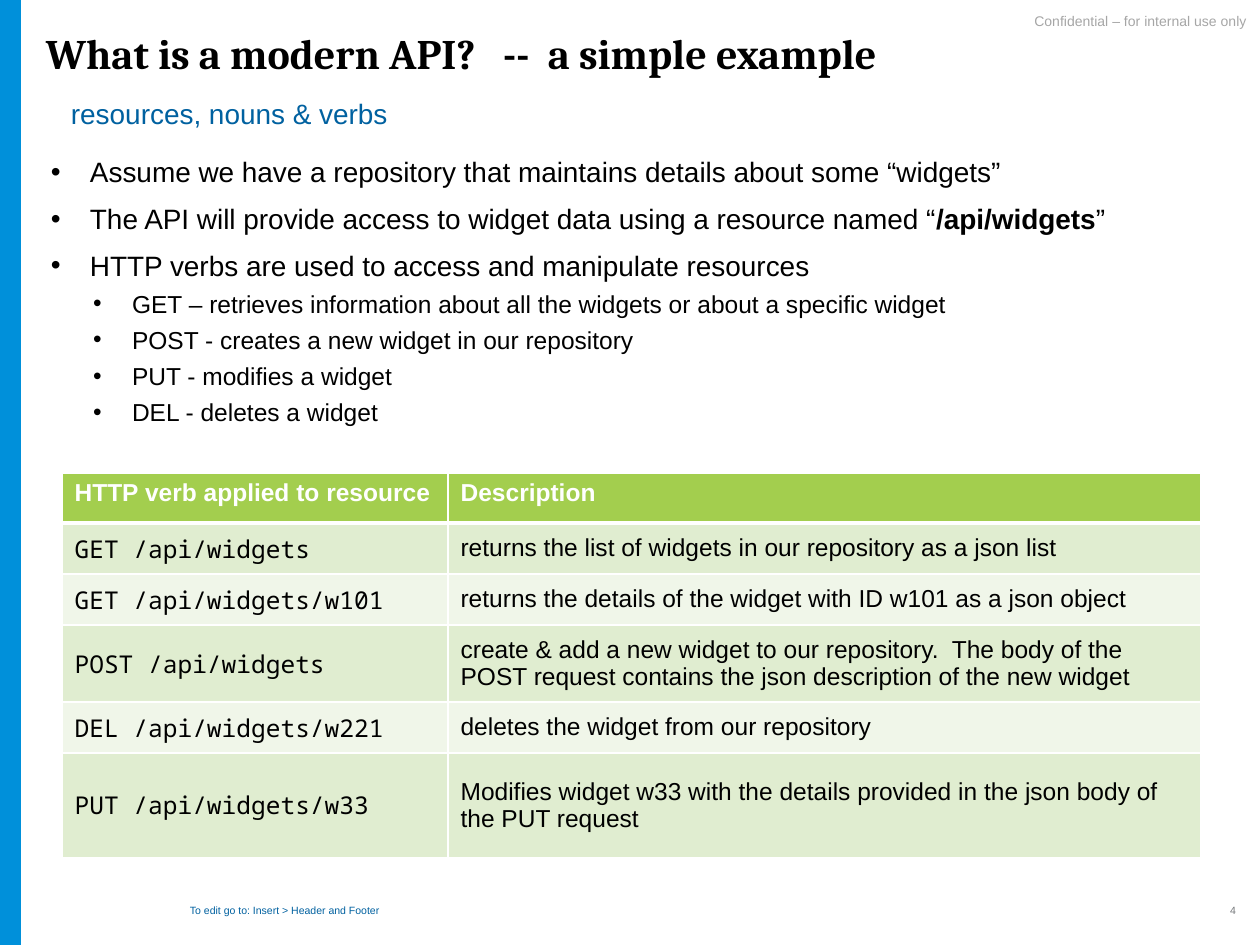
import dataclasses

import lxml.etree
import pptx
import pptx.dml.color
import pptx.enum.shapes
import pptx.enum.text
import pptx.oxml.ns
import pptx.util

ALIGN = pptx.enum.text.PP_ALIGN
ANCHOR = pptx.enum.text.MSO_ANCHOR
PX_PER_INCH = 126


@dataclasses.dataclass(frozen=True)
class Theme:
    sans: str = "Arial"
    serif: str = "Cambria"
    mono: str = "Noto Sans Mono"
    black: str = "000000"
    white: str = "FFFFFF"
    accent: str = "0090DA"
    link: str = "0061A0"
    notice: str = "A6A6A6"
    number: str = "75787B"
    header: str = "A3CE4E"
    bands: tuple = ("E0EDD0", "F0F6E9")
    title_size: int = 24
    body_size: int = 16
    detail_size: int = 14
    notice_size: int = 8
    footer_size: int = 6


THEME = Theme()


def px(n):
    return pptx.util.Emu(round(n * 914400 / PX_PER_INCH))


def rgb(value):
    return pptx.dml.color.RGBColor.from_string(value)


def sub(parent, tag, **attrs):
    el = lxml.etree.SubElement(parent, pptx.oxml.ns.qn(tag))
    for key, value in attrs.items():
        el.set(key, str(value))
    return el


def add_run(p, text, size, color=THEME.black, font=THEME.sans, bold=False):
    r = p.add_run()
    r.text = text
    r.font.size = pptx.util.Pt(size)
    r.font.name = font
    r.font.bold = bold
    r.font.color.rgb = rgb(color)


def add_text_box(s, box, insets=(9, 5), anchor=ANCHOR.TOP):
    tf = s.shapes.add_textbox(*map(px, box)).text_frame
    tf.word_wrap = True
    tf.vertical_anchor = anchor
    tf.margin_left = tf.margin_right = px(insets[0])
    tf.margin_top = tf.margin_bottom = px(insets[1])
    return tf


def set_bullet(p, margin, hanging):
    pPr = p._p.get_or_add_pPr()
    pPr.set("marL", str(px(margin)))
    pPr.set("indent", str(-px(hanging)))
    sub(pPr, "a:buFont", typeface=THEME.sans)
    sub(pPr, "a:buChar", char="•")


def add_frame(s, box):
    x, y, w, h = box
    sp = s.shapes.add_shape(
        pptx.enum.shapes.MSO_SHAPE.RECTANGLE, px(x), px(y), px(21), px(h))
    sp.shadow.inherit = False
    sp.fill.solid()
    sp.fill.fore_color.rgb = rgb(THEME.accent)
    sp.line.fill.background()
    p = add_text_box(s, (x + w - 386, y + 14, 386, 29), (13, 0)).paragraphs[0]
    p.alignment = ALIGN.RIGHT
    p.line_spacing = 0.9
    add_run(p, "Confidential – for internal use only",
            THEME.notice_size, THEME.notice)


def add_heading(s, box, title, subtitle):
    x, y, w, h = box
    p = add_text_box(s, (x, y, w, 62)).paragraphs[0]
    p.line_spacing = 0.9
    add_run(p, title, THEME.title_size, font=THEME.serif, bold=True)
    tf = add_text_box(s, (x + 21, y + h - 43, 958, 43), (13, 0), ANCHOR.BOTTOM)
    p = tf.paragraphs[0]
    p.line_spacing = 1.4
    p.space_before = pptx.util.Pt(7.5)
    add_run(p, subtitle, THEME.body_size, THEME.link)


def add_bullets(s, box, items):
    tf = add_text_box(s, box)
    levels = ((39, 7.5, THEME.body_size), (81, 3.8, THEME.detail_size))
    for i, (level, runs) in enumerate(items):
        margin, before, size = levels[level]
        p = tf.add_paragraph() if i else tf.paragraphs[0]
        p.level = level
        p.space_before = pptx.util.Pt(before)
        set_bullet(p, margin, 39)
        for text, bold in runs:
            add_run(p, text, size, bold=bold)


def style_cell(cell, fill, bottom=1):
    cell.fill.background()
    tcPr = cell._tc.get_or_add_tcPr()
    for el in list(tcPr):
        tcPr.remove(el)
    for side, width in (("L", 1), ("R", 1), ("T", 1), ("B", bottom)):
        ln = sub(tcPr, f"a:ln{side}", w=pptx.util.Pt(width))
        sub(sub(ln, "a:solidFill"), "a:srgbClr", val=THEME.white)
    cell.fill.solid()
    cell.fill.fore_color.rgb = rgb(fill)


def add_verb_table(s, box, columns, heights, rows):
    table = s.shapes.add_table(len(rows), len(columns), *map(px, box)).table
    for column, width in zip(table.columns, columns):
        column.width = px(width)
    for i, (row, height) in enumerate(zip(rows, heights)):
        table.rows[i].height = px(height)
        for j, text in enumerate(row):
            cell = table.cell(i, j)
            p = cell.text_frame.paragraphs[0]
            if i == 0:
                style_cell(cell, THEME.header, bottom=3)
                add_run(p, text, THEME.detail_size, THEME.white, bold=True)
            else:
                style_cell(cell, THEME.bands[(i - 1) % 2],
                           bottom=1)
                cell.vertical_anchor = ANCHOR.MIDDLE
                add_run(p, text, THEME.detail_size,
                        font=THEME.sans if j else THEME.mono)
            if i == 1:
                cell._tc.tcPr.find(pptx.oxml.ns.qn("a:lnT")).set(
                    "w", str(pptx.util.Pt(3)))


def add_footer(s, box, note, number):
    x, y, w, h = box
    tf = add_text_box(s, (x, y + 15, 426, 20), anchor=ANCHOR.MIDDLE)
    add_run(tf.paragraphs[0], note, THEME.footer_size, THEME.link)
    tf = add_text_box(s, (x + w - 93, y, 93, h), anchor=ANCHOR.MIDDLE)
    tf.paragraphs[0].alignment = ALIGN.RIGHT
    add_run(tf.paragraphs[0], number, THEME.footer_size, THEME.number)


def main():
    prs = pptx.Presentation()
    prs.slide_width, prs.slide_height = px(1260), px(945)
    s = prs.slides.add_slide(prs.slide_layouts[6])
    add_frame(s, (0, 0, 1260, 945))
    add_heading(s, (37, 28, 1090, 102),
                "What is a modern API?   --  a simple example",
                "resources, nouns & verbs")
    add_bullets(s, (42, 150, 1181, 300), [
        (0, [("Assume we have a repository that maintains details about some “widgets”", False)]),
        (0, [("The API will provide access to widget data using a resource named “", False),
             ("/api/widgets", True), ("”", False)]),
        (0, [("HTTP verbs are used to access and manipulate resources", False)]),
        (1, [("GET – retrieves information about all the widgets or about a specific widget", False)]),
        (1, [("POST - creates a new widget in our repository", False)]),
        (1, [("PUT - modifies a widget", False)]),
        (1, [("DEL - deletes a widget", False)]),
    ])
    add_verb_table(s, (62, 473, 1139, 385), (386, 753), (50, 51, 51, 77, 51, 105), [
        ("HTTP verb applied to resource", "Description"),
        ("GET /api/widgets", "returns the list of widgets in our repository as a json list"),
        ("GET /api/widgets/w101", "returns the details of the widget with ID w101 as a json object"),
        ("POST /api/widgets", "create & add a new widget to our repository.  The body of the "
         "POST request contains the json description of the new widget"),
        ("DEL /api/widgets/w221", "deletes the widget from our repository"),
        ("PUT /api/widgets/w33", "Modifies widget w33 with the details provided in the json body of "
         "the PUT request"),
    ])
    add_footer(s, (181, 885, 1064, 50), "To edit go to: Insert > Header and Footer", "4")
    prs.save("out.pptx")


if __name__ == "__main__":
    main()
